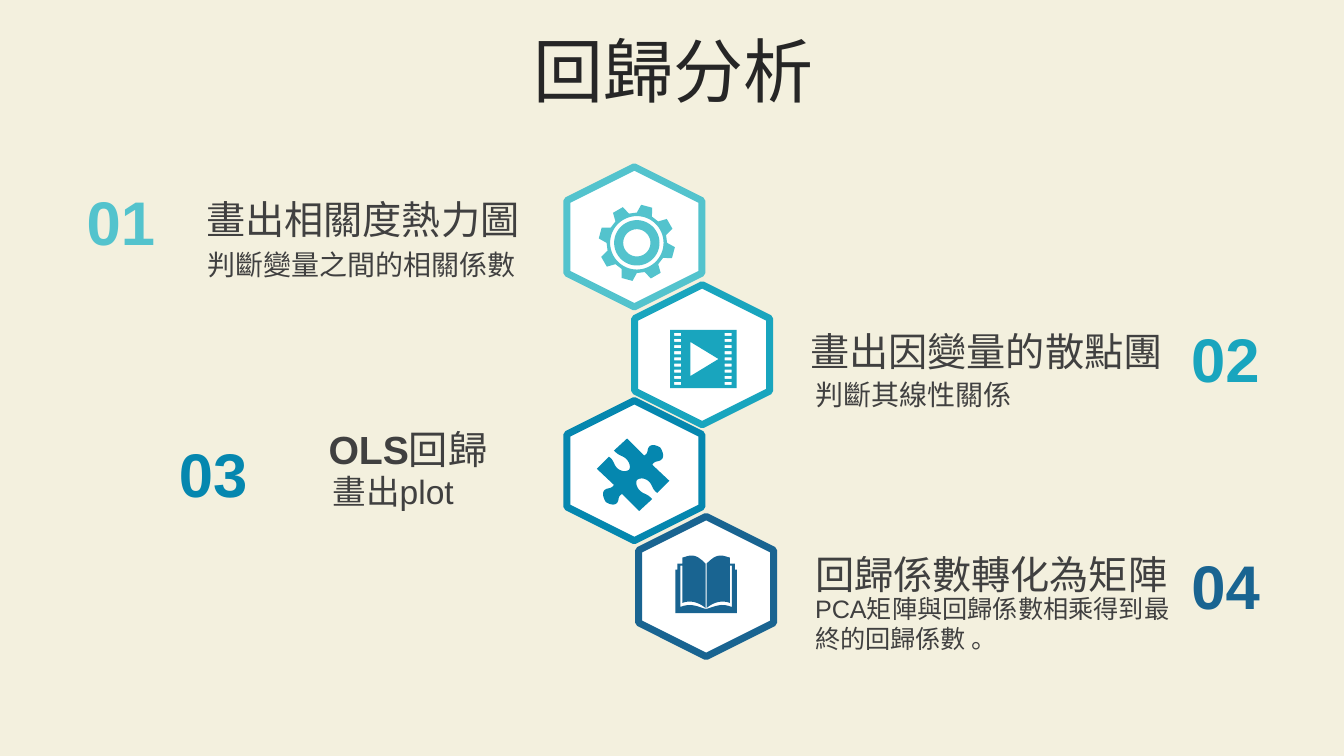
from dataclasses import dataclass
from math import cos, radians, sin

from pptx import Presentation
from pptx.dml.color import RGBColor
from pptx.enum.shapes import MSO_SHAPE
from pptx.enum.text import MSO_ANCHOR, MSO_AUTO_SIZE, PP_ALIGN
from pptx.util import Cm, Pt

COLORS = {
    "background": "F3F0DE", "title": "262626", "text": "404040", "white": "FFFFFF",
    "01": "53C3CD", "02": "19A5BE", "03": "0587AF", "04": "196491",
}
GRID = Cm(2.54) / 100


@dataclass
class Step:
    """Content and places, in centimetres, of one step of the analysis."""

    number: str
    hexagon: tuple
    number_box: tuple
    heading: list
    heading_box: tuple
    detail: str
    detail_box: tuple
    detail_size: int


STEPS = [
    Step("04", (16.03, 13.08), (29.57, 13.67, 2.64, 2.13),
         [("回歸係數轉化為矩陣", False)], (20.29, 13.74, 9.98, 1.45),
         "PCA矩陣與回歸係數相乘得到最終的回歸係數 。", (20.29, 14.83, 10.06, 1.8), 18),
    Step("02", (15.93, 7.24), (29.18, 7.95, 3.4, 2.13),
         [("畫出因變量的散點團", False)], (20.17, 8.13, 9.98, 1.45),
         "判斷其線性關係", (20.29, 9.4, 10.06, 1.12), 20),
    Step("03", (14.22, 10.16), (2.46, 10.87, 5.82, 2.13),
         [("OLS", True), ("回歸", False)], (8.03, 10.59, 9.58, 1.45),
         "畫出plot", (8.13, 11.73, 9.68, 1.27), 24),
    Step("01", (14.22, 4.27), (0.89, 4.5, 4.32, 2.13),
         [("畫出相關度熱力圖", False)], (4.95, 4.8, 11.94, 1.45),
         "判斷變量之間的相關係數", (4.98, 6.12, 12.04, 1.12), 20),
]


def flatten(segments, pieces=8):
    """Turn points and six-number cubic curves into a list of points."""
    points = [segments[0]]
    for segment in segments[1:]:
        if len(segment) == 2:
            points.append(segment)
            continue
        controls = [points[-1], segment[:2], segment[2:4], segment[4:]]
        for piece in range(1, pieces + 1):
            t = piece / pieces
            weights = ((1 - t) ** 3, 3 * t * (1 - t) ** 2, 3 * t ** 2 * (1 - t), t ** 3)
            points.append(tuple(
                sum(weight * control[axis] for weight, control in zip(weights, controls))
                for axis in (0, 1)))
    return points


def polar(radius, angle):
    """Return the point at a radius and an angle in degrees."""
    return radius * cos(radians(angle)), radius * sin(radians(angle))


def rectangle(left, top, width, height):
    """Return the corners of a rectangle."""
    right, bottom = left + width, top + height
    return [(left, top), (right, top), (right, bottom), (left, bottom)]


def gear():
    """Return the contours of a gear with eight teeth, centred on zero."""
    teeth = [polar(radius, tooth * 45 - 75 + turn) for tooth in range(8)
             for radius, turn in ((30, -15), (38, -8.5), (38, 8.5), (30, 15))]
    rings = [[polar(radius, angle) for angle in range(0, 360, 6)]
             for radius in (26.5, 22.5, 13.5)]
    return [teeth, *rings]


def film():
    """Return the contours of a film frame with a play sign."""
    holes = [rectangle(left, 3 + 6.1 * row, 7, 3) for left in (4, 54) for row in range(9)]
    return [rectangle(0, 0, 66, 58), [(20, 12), (20, 46), (48, 29)], *holes]


def puzzle():
    """Return the contour of a puzzle piece made of two turned halves."""
    half = flatten([
        (63, 9), (65, 12, 67, 17, 65, 20), (62, 24, 58, 21, 55, 26), (72, 42), (60, 54),
        (54, 50, 56, 46, 51, 42), (47, 39, 43, 39, 40, 41), (39, 42, 38, 47, 43, 52),
        (48, 56, 49, 54, 55, 60), (42, 72), (25, 55), (20, 58, 23, 60, 20, 64),
        (17, 67, 12, 65, 9, 63)])
    return [half + [(72 - x, 72 - y) for x, y in half[1:-1]]]


def book():
    """Return the contours of an open book with mirrored pages."""
    cover = flatten([
        (0, 57), (0, 14), (2, 14), (2, 8), (7, 8), (7, 2),
        (11, 1, 13, 0, 16, 0), (21, 0, 25, 3, 30, 8), (30, 53)])
    page = flatten([
        (30, 53), (21, 50, 15, 47, 5, 51), (5, 10), (7, 10), (7, 47), (14, 44, 23, 46, 30, 52)])
    mirrored_cover = [(61 - x, y) for x, y in reversed(cover)]
    return [cover + mirrored_cover, page, [(61 - x, y) for x, y in page]]


ICONS = [
    ("04", book(), (17.02, 14)),
    ("02", film(), (16.89, 8.31)),
    ("03", puzzle(), (15.04, 11.05)),
    ("01", gear(), (16.05, 6.12)),
]


class SlideBuilder:
    """Holds the style and the current slide."""

    def __init__(self, slide, font="Arial"):
        """Keep the slide and paint its background."""
        self.slide = slide
        self.font = font
        self.paint(slide.background.fill, "background")

    def paint(self, fill, color):
        """Make a fill solid in a named colour."""
        fill.solid()
        fill.fore_color.rgb = RGBColor.from_string(COLORS[color])

    def style(self, paragraph, size, color, bold=None, align=PP_ALIGN.LEFT):
        """Set the font and alignment of a paragraph."""
        paragraph.alignment = align
        paragraph.font.name = self.font
        paragraph.font.size = Pt(size)
        paragraph.font.bold = bold
        paragraph.font.color.rgb = RGBColor.from_string(COLORS[color])

    def title(self, text, box):
        """Place and format the title placeholder."""
        shape = self.slide.shapes.title
        shape.left, shape.top, shape.width, shape.height = map(Cm, box)
        frame = shape.text_frame
        frame.text = text
        frame.vertical_anchor = MSO_ANCHOR.MIDDLE
        frame.auto_size = MSO_AUTO_SIZE.NONE
        paragraph = frame.paragraphs[0]
        paragraph.line_spacing = 0.8
        self.style(paragraph, 50, "title", align=PP_ALIGN.CENTER)

    def text(self, runs, box, size, color="text", align=PP_ALIGN.LEFT):
        """Add a text box from pairs of text and boldness."""
        frame = self.slide.shapes.add_textbox(*map(Cm, box)).text_frame
        frame.word_wrap = True
        frame.auto_size = MSO_AUTO_SIZE.SHAPE_TO_FIT_TEXT
        paragraph = frame.paragraphs[0]
        same = len({bold for _, bold in runs}) == 1
        for text, bold in runs:
            run = paragraph.add_run()
            run.text = text
            if not same:
                run.font.bold = bold
        self.style(paragraph, size, color, runs[0][1] if same else None, align)

    def hexagon(self, place, color):
        """Add an upright white hexagon with a coloured outline."""
        shape = self.slide.shapes.add_shape(
            MSO_SHAPE.HEXAGON, *map(Cm, place), Cm(3.53), Cm(3.4))
        shape.rotation = 90
        shape.shadow.inherit = False
        self.paint(shape.fill, "white")
        self.paint(shape.line.fill, color)
        shape.line.width = Pt(5)

    def icon(self, contours, place, color):
        """Add a freeform whose inner contours are holes."""
        scaled = [[(x * GRID, y * GRID) for x, y in contour] for contour in contours]
        builder = self.slide.shapes.build_freeform(*scaled[0][0])
        builder.add_line_segments(scaled[0][1:])
        for contour in scaled[1:]:
            builder.move_to(*contour[0])
            builder.add_line_segments(contour[1:])
        shape = builder.convert_to_shape(*map(Cm, place))
        shape.shadow.inherit = False
        self.paint(shape.fill, color)
        shape.line.fill.background()


def main():
    """Build and save the slide."""
    presentation = Presentation()
    presentation.slide_width, presentation.slide_height = Cm(33.87), Cm(19.05)
    builder = SlideBuilder(presentation.slides.add_slide(presentation.slide_layouts[5]))
    builder.title("回歸分析", (0.89, 0.94, 32.16, 2.01))
    for step in STEPS:
        builder.hexagon(step.hexagon, step.number)
    for step in STEPS:
        builder.text([(step.number, True)], step.number_box, 44, step.number, PP_ALIGN.CENTER)
        builder.text([(step.detail, False)], step.detail_box, step.detail_size)
        builder.text(step.heading, step.heading_box, 28)
    for number, contours, place in ICONS:
        builder.icon(contours, place, number)
    presentation.save("out.pptx")


if __name__ == "__main__":
    main()
